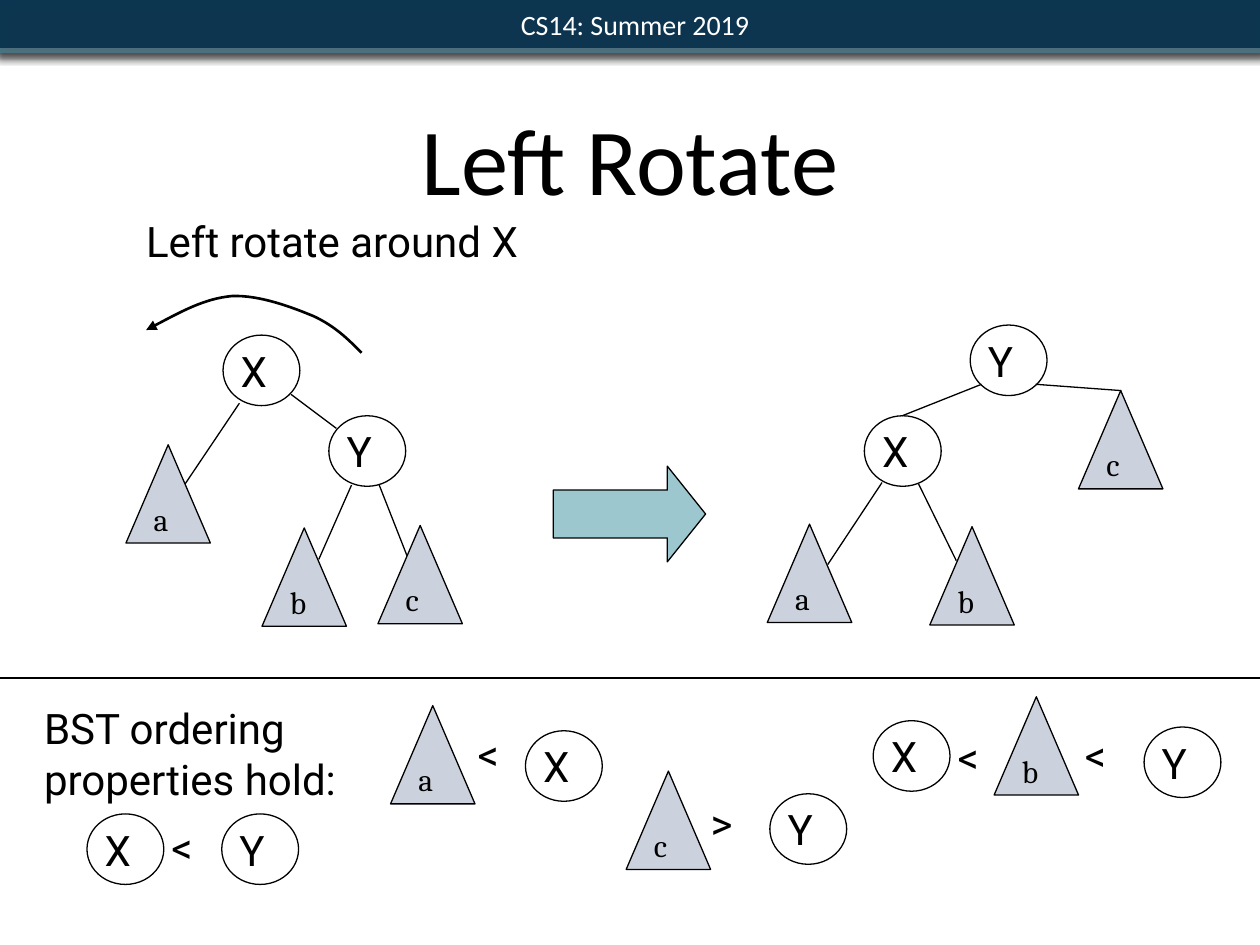
from lxml import etree
from pptx import Presentation
from pptx.dml.color import RGBColor
from pptx.enum.shapes import MSO_CONNECTOR, MSO_SHAPE
from pptx.enum.text import MSO_ANCHOR, MSO_AUTO_SIZE, PP_ALIGN
from pptx.oxml.ns import qn
from pptx.util import Inches, Pt

RECT, OVAL = MSO_SHAPE.RECTANGLE, MSO_SHAPE.OVAL
TRIANGLE, ARROW = MSO_SHAPE.ISOSCELES_TRIANGLE, MSO_SHAPE.RIGHT_ARROW
STRAIGHT = MSO_CONNECTOR.STRAIGHT
TOP, MIDDLE, BOTTOM = MSO_ANCHOR.TOP, MSO_ANCHOR.MIDDLE, MSO_ANCHOR.BOTTOM
LEFT, CENTER = PP_ALIGN.LEFT, PP_ALIGN.CENTER
FIT = MSO_AUTO_SIZE.SHAPE_TO_FIT_TEXT
COLS, ROWS = 100, 75
CELL = Inches(0.1)
BLACK, WHITE = "000000", "FFFFFF"

KEYS = [
    ("Y", 77, 25.8), ("X", 68.6, 33), ("Y", 26.1, 33), ("X", 17.7, 26.6),
    ("X", 6.9, 64.6), ("Y", 17.6, 64.6), ("X", 41.7, 58), ("Y", 61.1, 63),
    ("X", 69.3, 57.2), ("Y", 90.8, 57.7),
]
SUBTREES = [
    ("a", 60.9, 41.6), ("b", 73.8, 41.8), ("c", 85.6, 31), ("a", 10, 35.3),
    ("b", 20.8, 41.9), ("c", 30, 41.7), ("a", 31, 56), ("c", 49.7, 61.2),
    ("b", 78.9, 55.3),
]
EDGES = [
    (82.2, 30.5, 89, 31), (77.9, 30.5, 71.6, 33), (72.9, 38.4, 75.9, 44.5),
    (70, 38.3, 65.7, 44.8), (30.1, 38.5, 32.3, 44.1), (19, 32, 14.7, 38.4),
    (23.1, 31.3, 26.7, 34), (27.9, 38.5, 25.3, 44.4),
]
SIGNS = [("<", 13.1, 64.7), ("<", 37.4, 57.3), (">", 55.9, 62.8),
         ("<", 75.5, 57.6), ("<", 85.6, 57.4)]
CURVE = [(28.7, 28), (27.6, 26.9), (26.6, 25.9), (24.9, 25.1), (23.2, 24.4),
         (20.6, 23.4), (18.4, 23.5), (16.2, 23.7), (13.9, 25), (11.6, 26.2)]


def rgb(value):
    """Turn a hex string into a colour."""
    return RGBColor.from_string(value)


def grid(*cells):
    """Turn grid counts into lengths."""
    return [round(c * CELL) for c in cells]


def add_xml(parent, tag, **attrs):
    """Append a drawing element with attributes to a parent."""
    return etree.SubElement(parent, qn(tag), **attrs)


def outline(sp, width=0.75):
    """Give a shape or connector a black line."""
    sp.line.color.rgb = rgb(BLACK)
    sp.line.width = Pt(width)


def write(tf, lines, size, font, color=BLACK, align=LEFT, anchor=TOP, inset=0.05):
    """Fill a text frame, one paragraph for each line."""
    tf.vertical_anchor = anchor
    tf.margin_left = tf.margin_right = Inches(inset)
    tf.margin_top = tf.margin_bottom = Inches(inset)
    for i, line in enumerate(lines):
        p = tf.add_paragraph() if i else tf.paragraphs[0]
        p.alignment = align
        r = p.add_run()
        r.text = line
        r.font.size, r.font.name = Pt(size), font
        r.font.color.rgb = rgb(color)


def label(shapes, box, lines, size=24, font="Roboto", **style):
    """Add a text box that grows with its unwrapped text."""
    tf = shapes.add_textbox(*grid(*box)).text_frame
    write(tf, lines, size, font, **style)
    tf.word_wrap = False
    tf.auto_size = FIT


def block(shapes, kind, box, fill=None):
    """Add a flat preset shape, hollow unless filled."""
    sp = shapes.add_shape(kind, *grid(*box))
    sp.shadow.inherit = False
    if fill:
        sp.fill.solid()
        sp.fill.fore_color.rgb = rgb(fill)
    else:
        sp.fill.background()
    return sp


def key(s, name, x, y):
    """Add a circled tree key."""
    shapes = s.shapes.add_group_shape().shapes
    outline(block(shapes, OVAL, (x, y, 6.1, 5.6)))
    label(shapes, (x + 0.9, y + 0.3, 3.1, 5), [name], anchor=MIDDLE)


def subtree(s, name, x, y):
    """Add a triangle that stands for a subtree."""
    shapes = s.shapes.add_group_shape().shapes
    outline(block(shapes, TRIANGLE, (x, y, 6.7, 7.8), "CCD2DD"))
    width = 2.4 if name == "b" else 2.2
    label(shapes, (x + 1.7, y + 3.75, width, 4.2), [name], 18, "Cambria", anchor=MIDDLE)


def edge(s, *ends):
    """Add a thin straight line."""
    c = s.shapes.add_connector(STRAIGHT, *grid(*ends))
    outline(c)
    add_xml(c._element.spPr, "a:effectLst")


def curved_arrow(s, points):
    """Add a Bezier arrow from a start point and triples of points."""
    start, *rest = [grid(*pt) for pt in points]
    fb = s.shapes.build_freeform(*start)
    fb.add_line_segments(rest, close=False)
    sp = fb.convert_to_shape()
    sp.shadow.inherit = False
    sp.fill.background()
    outline(sp, 1.5)
    add_xml(sp.line._get_or_add_ln(), "a:tailEnd", type="triangle")
    steps = sp._element.xpath(".//a:lnTo")
    parent = steps[0].getparent()
    for i in range(0, len(steps), 3):
        curve = add_xml(parent, "a:cubicBezTo")
        for step in steps[i:i + 3]:
            curve.append(step[0])
            parent.remove(step)


def bar(s, box, fill, shadow, alpha):
    """Add a borderless header bar with a shadow below it."""
    sp = block(s.shapes, RECT, box, fill)
    sp.line.fill.background()
    effects = sp._element.spPr.find(qn("a:effectLst"))
    outer = add_xml(effects, "a:outerShdw", blurRad=str(Pt(5)), dist=str(Pt(2)),
                    dir="5400000", rotWithShape="0")
    add_xml(add_xml(outer, "a:srgbClr", val=shadow), "a:alpha", val=str(alpha * 1000))
    return sp


def header(s):
    """Add the course header and the slide title."""
    bar(s, (-0.4, -0.6, 100.7, 4.8), "427A92", BLACK, 75)
    sp = bar(s, (-0.1, 0, 100.3, 3.8), "062F4B", "5E5E5E", 50)
    color = sp._element.spPr.find(qn("a:solidFill"))[0]
    add_xml(color, "a:alpha", val="90000")
    write(sp.text_frame, ["CS14: Summer 2019"], 16, "Calibri", WHITE, CENTER, MIDDLE, 0.06)
    sp.text_frame.paragraphs[0]._p.get_or_add_pPr().set("indent", str(Inches(0.07)))
    tf = s.shapes.add_textbox(*grid(5, 0, 90, 17.5)).text_frame
    tf.word_wrap = True
    write(tf, ["Left Rotate"], 54, "Calibri", align=CENTER, anchor=BOTTOM)
    tf.paragraphs[0].line_spacing = Pt(58)


def main():
    """Build the rotation slide and save it."""
    prs = Presentation()
    prs.slide_width, prs.slide_height = grid(COLS, ROWS)
    s = prs.slides.add_slide(prs.slide_layouts[6])
    header(s)
    label(s.shapes, (11.1, 16.6, 30.8, 5), ["Left rotate around X"])
    for item in KEYS:
        key(s, *item)
    for item in SUBTREES:
        subtree(s, *item)
    for ends in EDGES:
        edge(s, *ends)
    edge(s, 0, 53.8, COLS, 53.8)
    curved_arrow(s, CURVE)
    arrow = block(s.shapes, ARROW, (43.9, 37, 12.1, 7.6), "9CC7CE")
    arrow.adjustments[0], arrow.adjustments[1] = 0.5, 0.4
    outline(arrow)
    label(s.shapes, (3, 55.3, 24.4, 9.1), ["BST ordering", "properties hold:"])
    for sign, x, y in SIGNS:
        label(s.shapes, (x, y, 3.6, 5), [sign])
    prs.save("out.pptx")


if __name__ == "__main__":
    main()
